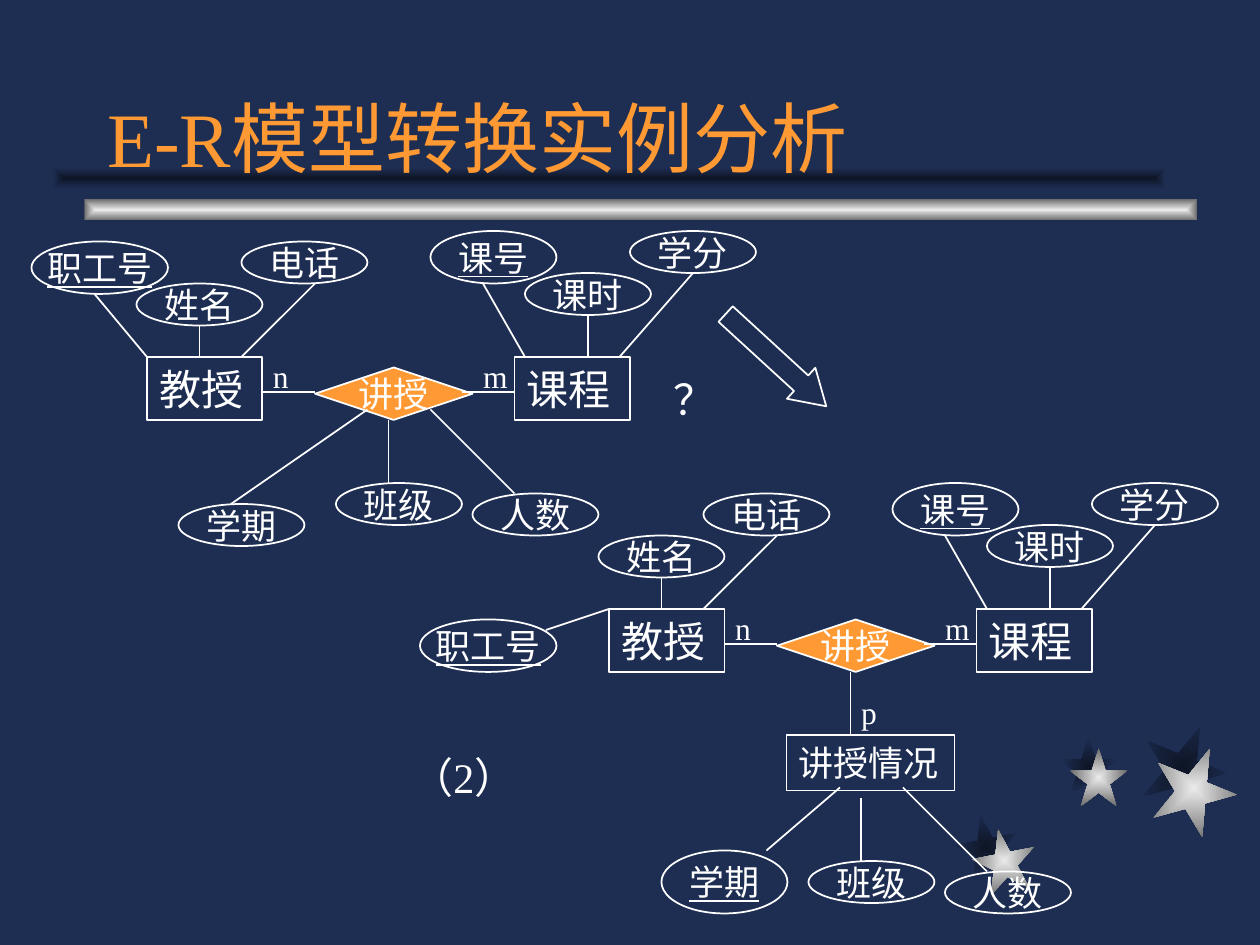
from dataclasses import dataclass
from lxml.etree import SubElement
from pptx import Presentation
from pptx.dml.color import RGBColor as Color
from pptx.enum.shapes import MSO_CONNECTOR as Connector, MSO_SHAPE as Shape
from pptx.enum.text import MSO_ANCHOR as Anchor, MSO_AUTO_SIZE as AutoSize, PP_ALIGN as Align
from pptx.oxml.ns import qn
from pptx.util import Inches, Pt


@dataclass(frozen=True)
class Theme:
    font: str = "Times New Roman"
    ground: str = "1E2E53"
    accent: str = "FF9933"
    ink: str = "FFFFFF"
    steel: tuple = ("EAEAEA", "6C6C6C")
    shade: tuple = ("0E1526", "1E2E53")
    title: int = 44
    entity: int = 24
    attribute: int = 20
    role: int = 18
    stroke: int = 1


THEME = Theme()
CELLS_PER_INCH = 12
SECOND_MODEL = (44, 24)
KEYS = {"职工号", "课号"}

ENTITIES = [("教授", 14, 34), ("课程", 49, 34)]
ROLES = [("n", 26, 34), ("m", 46, 34)]
ATTRIBUTES = [
    ("姓名", 13, 27, 4), ("电话", 23, 23, 4),
    ("课号", 41, 22, 5), ("课时", 50, 26, 4), ("学分", 60, 22, 4),
]
LINKS = [
    (25, 37.3, 30, 37.3), (44, 37.3, 49, 37.3),
    (19, 31, 19, 34), (30, 27, 23, 34),
    (46, 27, 50, 34), (56, 30, 56, 34), (66, 26, 59, 34),
]
STARS = [
    ((7.58, 6.47), (7.72, 6.58), 0.5, 349),
    ((8.41, 5.85), (8.49, 5.94), 0.46, 0),
    ((9.06, 5.75), (9.14, 5.92), 0.67, 22),
]


def cells(*counts):
    return [Inches(count / CELLS_PER_INCH) for count in counts]


def write(frame, text, size, color=THEME.ink, align=Align.LEFT, anchor=Anchor.TOP,
          underline=None, wrap=True, fit=AutoSize.NONE, margins=(0.1, 0.05)):
    frame.word_wrap = wrap
    frame.auto_size = fit
    frame.vertical_anchor = anchor
    frame.margin_left = frame.margin_right = Inches(margins[0])
    frame.margin_top = frame.margin_bottom = Inches(margins[1])
    para = frame.paragraphs[0]
    para.alignment = align
    span = para.add_run()
    span.text = text
    span.font.name = THEME.font
    span.font.size = Pt(size)
    span.font.underline = underline
    span.font.color.rgb = Color.from_string(color)


def outlined(page, kind, place, fill=None):
    shape = page.shapes.add_shape(kind, *cells(*place))
    shape.shadow.inherit = False
    if fill:
        shape.fill.solid()
        shape.fill.fore_color.rgb = Color.from_string(fill)
    else:
        shape.fill.background()
    shape.line.color.rgb = Color.from_string(THEME.ink)
    shape.line.width = Pt(THEME.stroke)
    return shape


def ornament(page, kind, place, colors, rotation=0):
    shape = page.shapes.add_shape(kind, *map(Inches, place))
    shape.shadow.inherit = False
    shape.rotation = rotation
    shape.line.fill.background()
    shape.fill.gradient()
    for stop, color in zip(shape.fill.gradient_stops, colors):
        stop.color.rgb = Color.from_string(color)
    gradient = shape._element.spPr.find(qn("a:gradFill"))
    gradient.remove(gradient.find(qn("a:lin")))
    center = SubElement(gradient, qn("a:path"), {"path": "rect"})
    SubElement(center, qn("a:fillToRect"), dict.fromkeys("ltrb", "50000"))


def entity(page, text, column, row, width=11, height=6, size=THEME.entity):
    box = outlined(page, Shape.RECTANGLE, (column, row, width, height))
    write(box.text_frame, text, size, fit=AutoSize.SHAPE_TO_FIT_TEXT)


def attribute(page, text, column, row, height=4, width=12, key=False):
    oval = outlined(page, Shape.OVAL, (column, row, width, height))
    write(oval.text_frame, text, THEME.attribute, align=Align.CENTER,
          anchor=Anchor.MIDDLE, wrap=False, underline=key or None)


def relationship(page, text, column, row):
    diamond = outlined(page, Shape.FLOWCHART_DECISION, (column, row, 15, 5), THEME.accent)
    write(diamond.text_frame, text, THEME.attribute, align=Align.CENTER,
          anchor=Anchor.MIDDLE, wrap=False)


def label(page, text, place, size=THEME.entity, **layout):
    box = page.shapes.add_textbox(*cells(*place))
    write(box.text_frame, text, size, fit=AutoSize.SHAPE_TO_FIT_TEXT, **layout)


def role(page, text, column, row):
    label(page, text, (column, row, 2, 3.6), THEME.role, margins=(0, 0))


def link(page, *ends):
    line = page.shapes.add_connector(Connector.STRAIGHT, *cells(*ends))
    line.line.color.rgb = Color.from_string(THEME.ink)
    line.line.width = Pt(THEME.stroke)
    SubElement(line._element.spPr, qn("a:effectLst"))


def decorate(page):
    for colors, index in ((THEME.shade, 0), (THEME.steel, 1)):
        for star in STARS:
            size, rotation = star[2:]
            ornament(page, Shape.STAR_5_POINT, (*star[index], size, size), colors, rotation)
    ornament(page, Shape.RECTANGLE, (0.67, 1.58, 8.83, 0.17), THEME.steel)
    ornament(page, Shape.RECTANGLE, (0.42, 1.33, 8.83, 0.17), THEME.shade)


def teaching_model(page, right=0, down=0):
    for text, column, row in ENTITIES:
        entity(page, text, column + right, row + down)
    relationship(page, "讲授", 30 + right, 35 + down)
    for text, column, row in ROLES:
        role(page, text, column + right, row + down)
    for text, column, row, height in ATTRIBUTES:
        attribute(page, text, column + right, row + down, height, key=text in KEYS)
    for x1, y1, x2, y2 in LINKS:
        link(page, x1 + right, y1 + down, x2 + right, y2 + down)


def first_model(page):
    teaching_model(page)
    attribute(page, "职工号", 3, 23, 5, 13, key=True)
    attribute(page, "班级", 32, 46)
    attribute(page, "学期", 17, 48)
    attribute(page, "人数", 45, 47)
    for ends in ((9, 28, 14, 34), (37, 40, 37, 46), (35, 39, 22, 48), (41, 39, 49, 47)):
        link(page, *ends)


def second_model(page):
    teaching_model(page, *SECOND_MODEL)
    attribute(page, "职工号", 40, 59, 5, 13, key=True)
    attribute(page, "班级", 77, 82)
    attribute(page, "学期", 63, 81, 6, key=True)
    attribute(page, "人数", 90, 83)
    entity(page, "讲授情况", 74.9, 70, 16, 5.3, THEME.attribute)
    role(page, "p", 82, 66)
    for ends in ((52, 60, 58, 58), (81, 64, 81, 70), (82, 76, 82, 82),
                 (80, 75, 73, 81), (86, 75, 94, 83)):
        link(page, *ends)


def main():
    deck = Presentation()
    deck.slide_width, deck.slide_height = cells(120, 90)
    page = deck.slides.add_slide(deck.slide_layouts[5])
    page.background.fill.solid()
    page.background.fill.fore_color.rgb = Color.from_string(THEME.ground)
    decorate(page)

    title = page.shapes.title
    title.left, title.top, title.width, title.height = cells(9, 3, 102, 15)
    write(title.text_frame, "E-R模型转换实例分析", THEME.title, THEME.accent, anchor=Anchor.BOTTOM)
    page.shapes._spTree.append(title._element)

    first_model(page)
    second_model(page)
    label(page, "？", (63, 35, 5, 6))
    label(page, "（2）", (38, 71, 18, 6))
    arrow = outlined(page, Shape.RIGHT_ARROW, (67.4, 32.3, 13, 4))
    arrow.adjustments[1] = 0.81
    arrow.rotation = 42.5
    deck.save("out.pptx")


if __name__ == "__main__":
    main()
